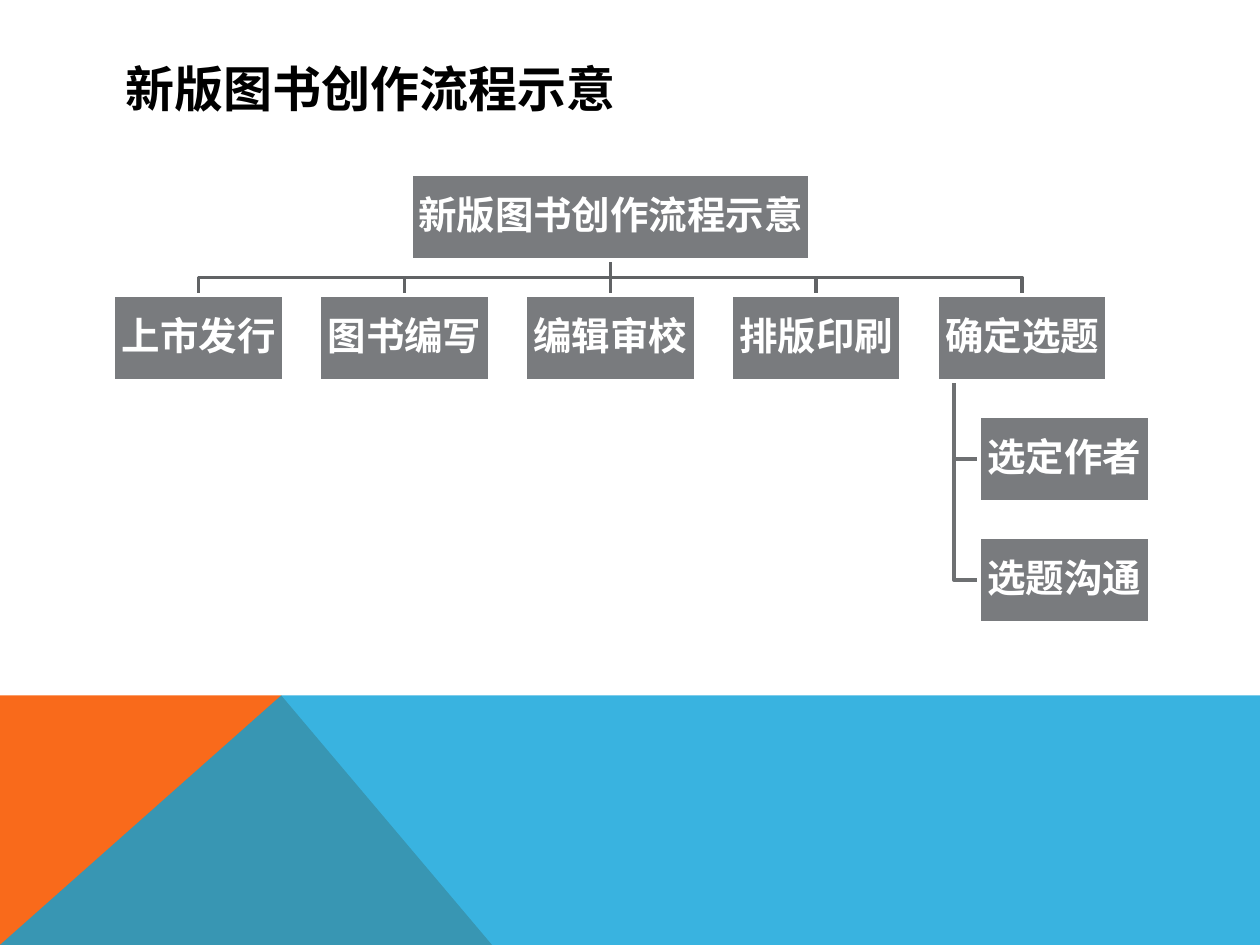
from dataclasses import dataclass

from lxml import etree
from pptx import Presentation
from pptx.dml.color import RGBColor
from pptx.enum.shapes import MSO_CONNECTOR, MSO_SHAPE
from pptx.enum.text import MSO_ANCHOR, PP_ALIGN
from pptx.oxml.ns import qn
from pptx.util import Cm, Pt

WHITE = RGBColor(0xFF, 0xFF, 0xFF)
BLACK = RGBColor(0, 0, 0)
ORANGE = RGBColor(0xF9, 0x6A, 0x1B)
BLUE = RGBColor(0x08, 0xA1, 0xD9)
BOX_GREY = RGBColor(0x79, 0x7B, 0x7E)
STAGE_LINE = RGBColor(0x61, 0x63, 0x65)
TASK_LINE = RGBColor(0x6E, 0x70, 0x72)
FONT = "Karla"
TITLE = "新版图书创作流程示意"
STAGES = ("上市发行", "图书编写", "编辑审校", "排版印刷", "确定选题")
TASKS = ("选定作者", "选题沟通")

# All lengths below are centimetres.
SLIDE_W, SLIDE_H = 25.4, 19.05
BAND_TOP, PEAK_X, ORANGE_RIGHT = 14.02, 5.67, 9.92
BOX_W, BOX_H, ROOT_W = 3.43, 1.73, 8.03
LEFT, TOP = 2.29, 3.51
COLUMN_STEP, ROW_STEP = 4.15, 2.44
TASK_LEFT, TRUNK_INDENT = 19.74, 0.34

Point = tuple[float, float]


@dataclass(frozen=True)
class Box:
    """A labelled box of the chart."""
    label: str
    left: float
    top: float
    width: float = BOX_W

    @property
    def centre_x(self) -> float:
        return self.left + self.width / 2

    @property
    def middle_y(self) -> float:
        return self.top + BOX_H / 2

    @property
    def bottom(self) -> float:
        return self.top + BOX_H


def draw_path(slide, points: list[Point], close: bool):
    """Draw an outline through the points."""
    start, *rest = [(Cm(x), Cm(y)) for x, y in points]
    builder = slide.shapes.build_freeform(*start, scale=1.0)
    builder.add_line_segments(rest, close=close)
    shape = builder.convert_to_shape()
    shape.shadow.inherit = False
    return shape


def draw_band(slide, points: list[Point], color: RGBColor, opacity: int = 100) -> None:
    """Draw a filled footer area with an opacity in percent."""
    shape = draw_path(slide, points, close=True)
    shape.fill.solid()
    shape.fill.fore_color.rgb = color
    shape.line.fill.background()
    if opacity < 100:
        fill_color = shape._element.spPr.find(qn("a:solidFill"))[0]
        etree.SubElement(fill_color, qn("a:alpha"), val=str(opacity * 1000))


def draw_link(slide, points: list[Point], color: RGBColor) -> None:
    """Draw a straight or angled line between two boxes."""
    if len(points) == 2:
        ends = [Cm(value) for point in points for value in point]
        link = slide.shapes.add_connector(MSO_CONNECTOR.STRAIGHT, *ends)
        etree.SubElement(link._element.spPr, qn("a:effectLst"))
    else:
        link = draw_path(slide, points, close=False)
        link.fill.background()
    link.line.color.rgb = color
    link.line.width = Pt(2)


def write(frame, text: str, size: int, color: RGBColor):
    """Write one bold line and return its paragraph."""
    frame.word_wrap = True
    frame.vertical_anchor = MSO_ANCHOR.MIDDLE
    paragraph = frame.paragraphs[0]
    run = paragraph.add_run()
    run.text = text
    run.font.name, run.font.size, run.font.bold = FONT, Pt(size), True
    run.font.color.rgb = color
    return paragraph


def draw_box(slide, box: Box) -> None:
    """Draw a grey box with its centred label."""
    shape = slide.shapes.add_shape(
        MSO_SHAPE.RECTANGLE, Cm(box.left), Cm(box.top), Cm(box.width), Cm(BOX_H))
    shape.shadow.inherit = False
    shape.fill.solid()
    shape.fill.fore_color.rgb = BOX_GREY
    shape.line.color.rgb = WHITE
    shape.line.width = Pt(2)
    frame = shape.text_frame
    frame.margin_left = frame.margin_right = Cm(0.04)
    frame.margin_top = frame.margin_bottom = Cm(0.04)
    paragraph = write(frame, box.label, 22, WHITE)
    paragraph.alignment = PP_ALIGN.CENTER
    paragraph.line_spacing = 0.9


def draw_chart(slide) -> None:
    """Draw the links first and the boxes over them."""
    stages = [Box(label, LEFT + i * COLUMN_STEP, TOP + ROW_STEP)
              for i, label in enumerate(STAGES)]
    tasks = [Box(label, TASK_LEFT, TOP + (i + 2) * ROW_STEP)
             for i, label in enumerate(TASKS)]
    middle = len(stages) // 2
    centre_x = stages[middle].centre_x
    root = Box(TITLE, centre_x - ROOT_W / 2, TOP, ROOT_W)

    parent = stages[-1]
    trunk_x = parent.left + TRUNK_INDENT
    for task in tasks:
        draw_link(slide, [(trunk_x, parent.bottom), (trunk_x, task.middle_y),
                          (task.left, task.middle_y)], TASK_LINE)
    bus_y = (root.bottom + parent.top) / 2
    for i, stage in enumerate(stages):
        start, end = (centre_x, root.bottom), (stage.centre_x, stage.top)
        bends = [] if i == middle else [(centre_x, bus_y), (stage.centre_x, bus_y)]
        draw_link(slide, [start, *bends, end], STAGE_LINE)
    for box in (root, *stages, *tasks):
        draw_box(slide, box)


def main() -> None:
    """Build and save the slide."""
    deck = Presentation()
    deck.slide_width, deck.slide_height = Cm(SLIDE_W), Cm(SLIDE_H)
    slide = deck.slides.add_slide(deck.slide_layouts[6])
    draw_band(slide, [(0, SLIDE_H), (0, BAND_TOP), (PEAK_X, BAND_TOP),
                      (ORANGE_RIGHT, SLIDE_H)], ORANGE)
    draw_band(slide, [(0, SLIDE_H), (PEAK_X, BAND_TOP), (SLIDE_W, BAND_TOP),
                      (SLIDE_W, SLIDE_H)], BLUE, opacity=80)
    title = slide.shapes.add_textbox(Cm(LEFT), Cm(1.02), Cm(20.88), Cm(1.52))
    write(title.text_frame, TITLE, 28, BLACK)
    draw_chart(slide)
    deck.save("out.pptx")


main()
